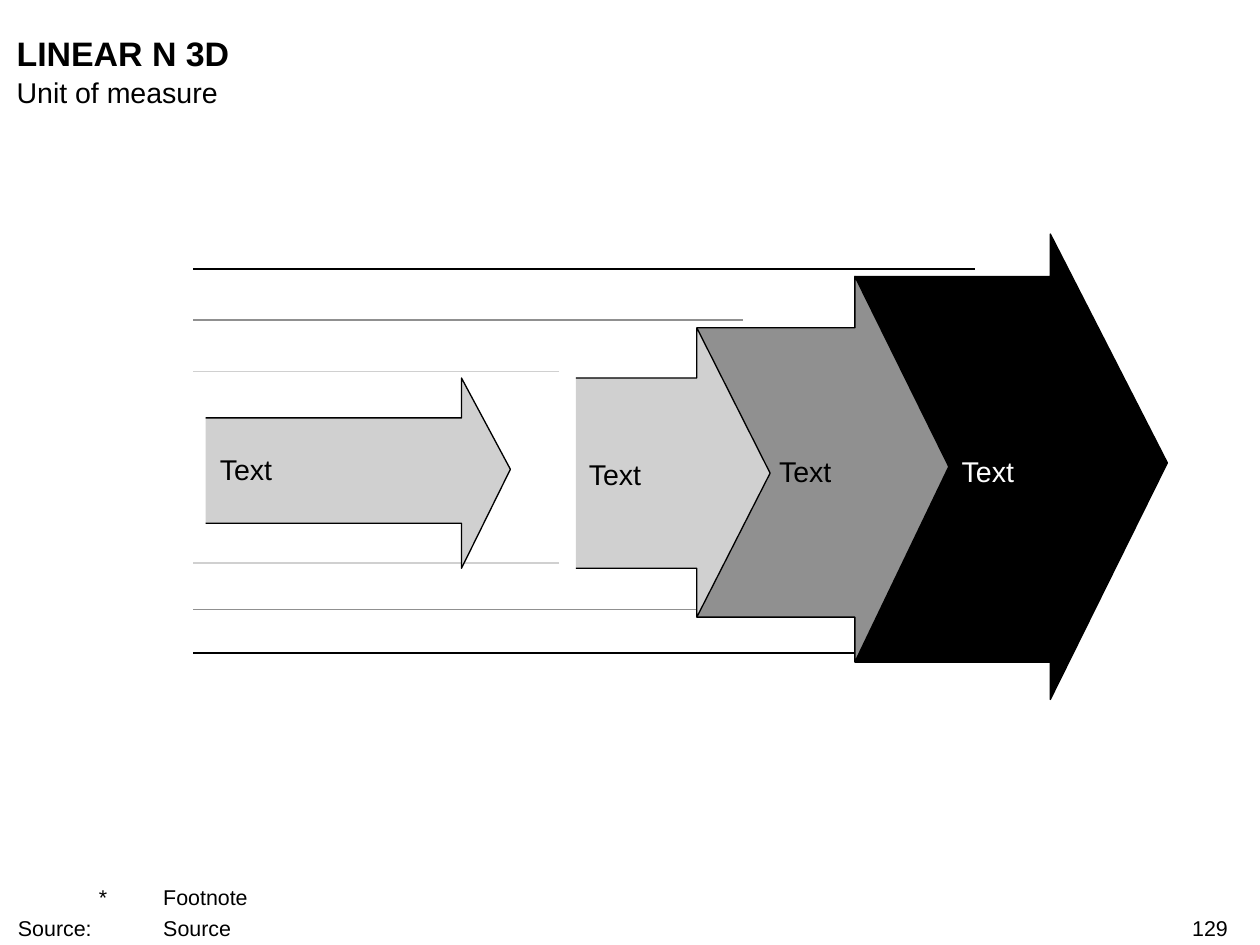
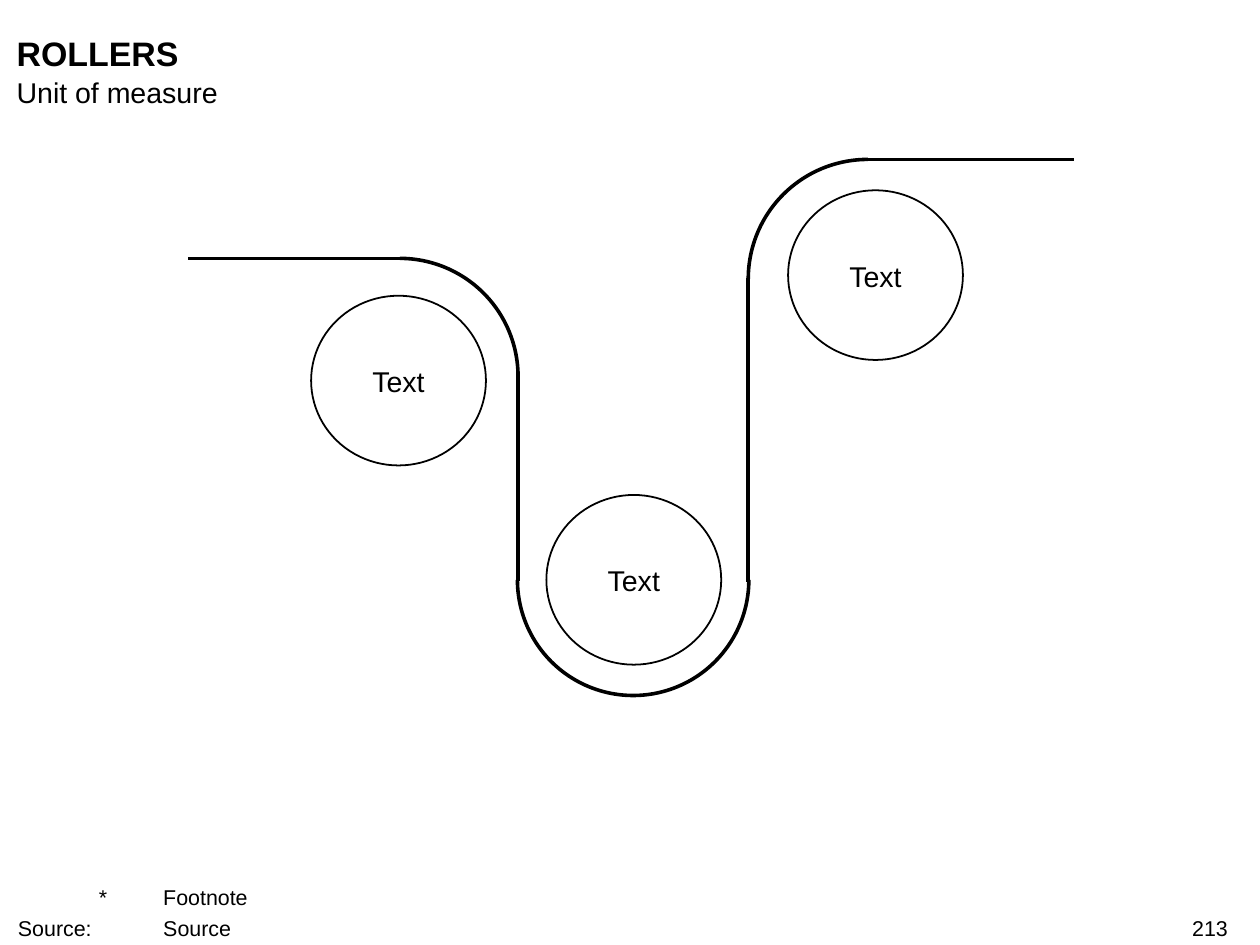
from dataclasses import dataclass

from lxml import etree
from pptx import Presentation
from pptx.dml.color import RGBColor
from pptx.enum import shapes, text
from pptx.oxml import ns
from pptx.util import Inches, Pt


@dataclass(frozen=True)
class Theme:
    font: str = "Arial"
    black: str = "000000"
    white: str = "FFFFFF"
    mid_grey: str = "909090"
    light_grey: str = "D0D0D0"
    title_size: int = 19
    body_size: int = 16
    footer_size: int = 12
    thin: float = 0.75
    normal: float = 1
    thick: float = 2


THEME = Theme()
ALIGN = text.PP_ALIGN
ANCHOR = text.MSO_ANCHOR


def add_text(slide, content, box, size=THEME.body_size, color=THEME.black, bold=False,
             align=ALIGN.LEFT, anchor=ANCHOR.TOP, space_before=0, hanging=0, tabs=()):
    """Add a text box without insets, one paragraph per line of content."""
    frame = slide.shapes.add_textbox(*map(Inches, box)).text_frame
    frame.word_wrap = True
    frame.vertical_anchor = anchor
    frame.margin_left = frame.margin_right = frame.margin_top = frame.margin_bottom = 0
    for index, line in enumerate(content.split("\n")):
        paragraph = frame.add_paragraph() if index else frame.paragraphs[0]
        paragraph.alignment = align
        if index:
            paragraph.space_before = Pt(space_before)
        if tabs:
            properties = paragraph._p.get_or_add_pPr()
            properties.set("marL", str(Inches(hanging)))
            properties.set("indent", str(-Inches(hanging)))
            tab_list = etree.SubElement(properties, ns.qn("a:tabLst"))
            for position in tabs:
                etree.SubElement(tab_list, ns.qn("a:tab"), pos=str(Inches(position)), algn="l")
        run = paragraph.add_run()
        run.text = line
        run.font.name = THEME.font
        run.font.size = Pt(size)
        run.font.bold = bold
        run.font.color.rgb = RGBColor.from_string(color)


def style_shape(shape, width, color=THEME.black, fill=None):
    """Set outline and fill, and switch the shadow off."""
    shape.line.color.rgb = RGBColor.from_string(color)
    shape.line.width = Pt(width)
    if fill:
        shape.fill.solid()
        shape.fill.fore_color.rgb = RGBColor.from_string(fill)
    etree.SubElement(shape._element.spPr, ns.qn("a:effectLst"))


presentation = Presentation()
presentation.slide_width = Inches(9.8)
presentation.slide_height = Inches(7.35)

# Shared frame: title, subtitle, footnote and page number
slides = []
for title, page in (("LINEAR N 3D", "129"), ("ROLLERS", "213")):
    slide = presentation.slides.add_slide(presentation.slide_layouts[6])
    add_text(slide, title, (0.13, 0.25, 9.43, 0.32), size=THEME.title_size, bold=True)
    add_text(slide, "Unit of measure", (0.13, 0.58, 9.43, 0.27))
    add_text(slide, "\t*\tFootnote\nSource:\t\tSource", (0.14, 6.88, 8.93, 0.44),
             size=THEME.footer_size, anchor=ANCHOR.BOTTOM, space_before=3,
             hanging=0.63, tabs=(0, 0.98))
    add_text(slide, page, (7.51, 7.12, 2.04, 0.2), size=THEME.footer_size, align=ALIGN.RIGHT)
    slides.append(slide)
arrow_slide, roller_slide = slides

# Growing arrows between pairs of guide lines
guides = [
    (7.58, THEME.black, (2.09, 5.08)),
    (5.78, THEME.mid_grey, (2.49, 4.74)),
    (4.35, THEME.light_grey, (2.89, 4.38)),
]
for right, color, heights in guides:
    for y in heights:
        guide = arrow_slide.shapes.add_connector(
            shapes.MSO_CONNECTOR.STRAIGHT, Inches(right), Inches(y), Inches(1.5), Inches(y))
        style_shape(guide, THEME.normal, color)

# tail x, neck x, tip x, tip y, (head top, shaft top, shaft bottom, head bottom), fill
arrows = [
    (1.6, 3.59, 3.97, 3.65, (2.94, 3.25, 4.07, 4.42), THEME.light_grey),
    (6.65, 8.17, 9.08, 3.6, (1.82, 2.15, 5.15, 5.44), THEME.black),
    (5.42, 6.65, 7.38, 3.63, (2.15, 2.55, 4.8, 5.15), THEME.mid_grey),
    (4.48, 5.42, 5.99, 3.68, (2.55, 2.94, 4.42, 4.8), THEME.light_grey),
]
for tail, neck, tip, tip_y, (head_top, shaft_top, shaft_bottom, head_bottom), fill in arrows:
    outline = [(neck, shaft_top), (neck, head_top), (tip, tip_y),
               (neck, head_bottom), (neck, shaft_bottom), (tail, shaft_bottom)]
    builder = arrow_slide.shapes.build_freeform(Inches(tail), Inches(shaft_top))
    builder.add_line_segments([(Inches(x), Inches(y)) for x, y in outline], close=False)
    style_shape(builder.convert_to_shape(), THEME.thin, fill=fill)

arrow_labels = [
    (1.71, 3.51, 1.84, THEME.black),
    (4.58, 3.55, 1.17, THEME.black),
    (6.06, 3.53, 1.11, THEME.black),
    (7.48, 3.53, 1.42, THEME.white),
]
for left, top, width, color in arrow_labels:
    add_text(arrow_slide, "Text", (left, top, width, 0.27), color=color, anchor=ANCHOR.MIDDLE)

# Rollers with their labels
for left, top in ((2.42, 2.3), (4.25, 3.85), (6.13, 1.48)):
    roller = roller_slide.shapes.add_shape(
        shapes.MSO_SHAPE.OVAL, Inches(left), Inches(top), Inches(1.36), Inches(1.32))
    style_shape(roller, THEME.normal, fill=THEME.white)
    add_text(roller_slide, "Text", (left + 0.18, top + 0.53, 1, 0.27),
             align=ALIGN.CENTER, anchor=ANCHOR.MIDDLE)

# Belt: arcs as centre x, centre y, radius, start and end angle in degrees
for x, y, radius, start, end in ((3.11, 2.93, 0.92, 270, 0),
                                 (4.925, 4.51, 0.9, 0, 180),
                                 (6.75, 2.17, 0.93, 180, 270)):
    arc = roller_slide.shapes.add_shape(
        shapes.MSO_SHAPE.ARC, Inches(x - radius), Inches(y - radius),
        Inches(2 * radius), Inches(2 * radius))
    arc.adjustments[0] = start * 0.6
    arc.adjustments[1] = end * 0.6
    arc.fill.background()
    style_shape(arc, THEME.thick)

for ends in ((3.12, 2.01, 1.46, 2.01), (4.03, 4.52, 4.03, 2.89),
             (5.82, 4.53, 5.82, 2.16), (8.35, 1.24, 6.74, 1.24)):
    belt = roller_slide.shapes.add_connector(
        shapes.MSO_CONNECTOR.STRAIGHT, *map(Inches, ends))
    style_shape(belt, THEME.thick)

presentation.save("out.pptx")
